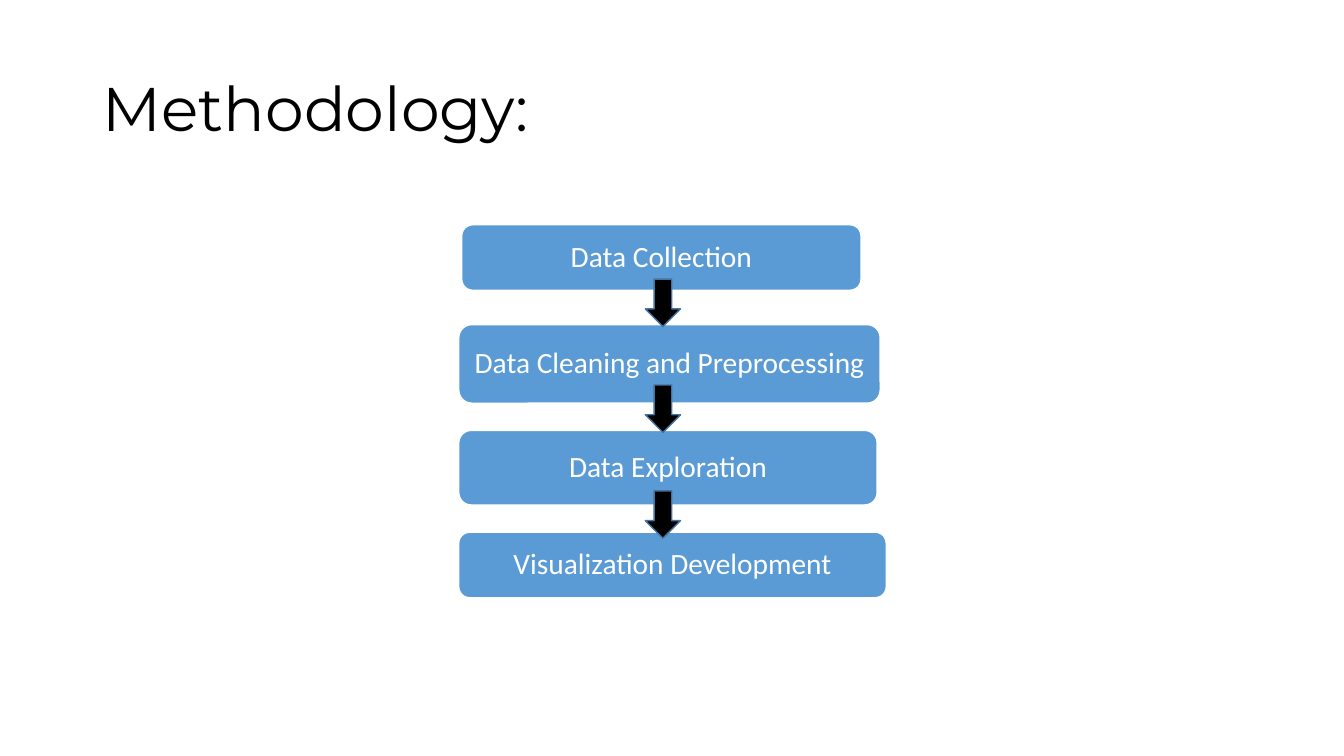
from pptx import Presentation
from pptx.dml.color import RGBColor as RGB
from pptx.enum.shapes import MSO_SHAPE as Kind
from pptx.enum.text import MSO_ANCHOR as Anchor, PP_ALIGN as Align
from pptx.util import Inches, Pt

hues = {"step": "5B9BD5", "edge": "43739E", "white": "FFFFFF", "black": "000000"}

deck = Presentation()
deck.slide_width = Inches(13.33)
deck.slide_height = Inches(7.5)
slide = deck.slides.add_slide(deck.slide_layouts[6])


def write(shape, text, font, size, hue, align):
    frame = shape.text_frame
    frame.word_wrap = True
    frame.vertical_anchor = Anchor.MIDDLE
    para = frame.paragraphs[0]
    para.alignment = align
    para.line_spacing = 0.9
    run = para.add_run()
    run.text = text
    run.font.name = font
    run.font.size = Pt(size)
    run.font.color.rgb = RGB.from_string(hues[hue])


def draw(kind, box, fill, line):
    shape = slide.shapes.add_shape(kind, *[Inches(n) for n in box])
    shape.shadow.inherit = False
    shape.fill.solid()
    shape.fill.fore_color.rgb = RGB.from_string(hues[fill])
    shape.line.color.rgb = RGB.from_string(hues[line])
    shape.line.width = Pt(1)
    return shape


title = slide.shapes.add_textbox(Inches(0.92), Inches(0.38), Inches(11.5), Inches(1.45))
write(title, "Methodology:", "Montserrat", 44, "black", Align.LEFT)

steps = [
    ("Data Collection", 4.58, 2.23, 3.96, 0.65),
    ("Data Cleaning and Preprocessing", 4.55, 3.22, 4.18, 0.78),
    ("Data Exploration", 4.55, 4.27, 4.15, 0.74),
    ("Visualization Development", 4.55, 5.28, 4.24, 0.65),
]
for text, *box in steps:
    step = draw(Kind.ROUNDED_RECTANGLE, box, "step", "white")
    frame = step.text_frame
    frame.margin_left = frame.margin_right = Inches(0.05)
    frame.margin_top = frame.margin_bottom = Inches(0.04)
    write(step, text, "Calibri", 21, "white", Align.CENTER)

for i in range(len(steps) - 1):
    draw(Kind.DOWN_ARROW, (6.4, 2.77 + 1.05 * i, 0.35, 0.47), "black", "edge")

deck.save("out.pptx")
